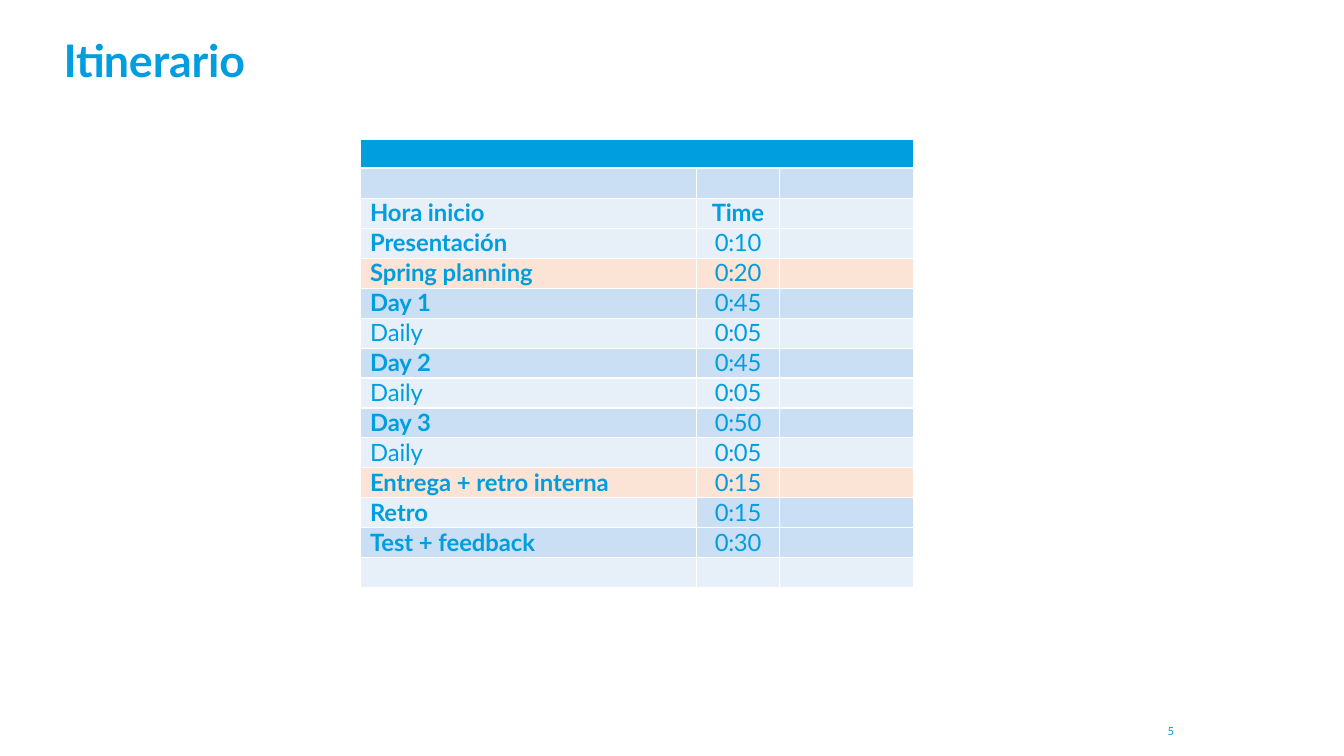
import dataclasses

import pptx
import pptx.dml.color
import pptx.enum.text
import pptx.oxml.ns
import pptx.util
import lxml.etree

Pt = pptx.util.Pt
ALIGN = pptx.enum.text.PP_ALIGN


@dataclasses.dataclass(frozen=True)
class Theme:
    """Hold the colours and type sizes."""
    font: str = "Lato"
    blue: str = "009EDF"
    mid: str = "CADFF3"
    pale: str = "E7EFF8"
    peach: str = "FBE3D5"
    white: str = "FFFFFF"
    title: float = 32
    body: float = 17
    small: float = 8


THEME = Theme()
ROWS = [
    ("", "", THEME.mid, False),
    ("Hora inicio", "Time", THEME.pale, True),
    ("Presentación", "0:10", THEME.pale, True),
    ("Spring planning", "0:20", THEME.peach, True),
    ("Day 1", "0:45", THEME.mid, True),
    ("Daily", "0:05", THEME.pale, False),
    ("Day 2", "0:45", THEME.mid, True),
    ("Daily", "0:05", THEME.pale, False),
    ("Day 3", "0:50", THEME.mid, True),
    ("Daily", "0:05", THEME.pale, False),
    ("Entrega + retro interna", "0:15", THEME.peach, True),
    ("Retro", "0:15", THEME.mid, True),
    ("Test + feedback", "0:30", THEME.mid, True),
    ("", "", THEME.pale, False),
]


def apply(item, form):
    """Set each attribute of an item from a dict."""
    for name, value in form.items():
        setattr(item, name, value)


def tint(code):
    """Turn a hex code into a colour."""
    return pptx.dml.color.RGBColor.from_string(code)


def child(node, tag, **attrs):
    """Add a drawing element below a node."""
    return lxml.etree.SubElement(node, pptx.oxml.ns.qn(tag), attrs)


def write(para, text, size, bold=False, track=0, **form):
    """Write one styled run in a paragraph."""
    apply(para, form)
    run = para.add_run()
    run.text = text
    apply(run.font, {"name": THEME.font, "size": Pt(size), "bold": bold})
    run.font.color.rgb = tint(THEME.blue)
    run.font._element.set("spc", str(track))


def label(slide, box, text, size, **form):
    """Place a line of text in a box."""
    frame = slide.shapes.add_textbox(*map(Pt, box)).text_frame
    apply(frame, {"margin_left": 0, "margin_right": 0, "margin_bottom": 0,
                  "margin_top": Pt(0.9), "word_wrap": True})
    write(frame.paragraphs[0], text, size, space_before=Pt(1), **form)


def edge(cell, heavy):
    """Draw white borders, with heavy naming the thicker side."""
    props = cell._tc.get_or_add_tcPr()
    for side in "LRTB":
        width = Pt(1.5 if side == heavy else 1)
        line = child(props, "a:ln" + side, w=str(width))
        child(child(line, "a:solidFill"), "a:srgbClr", val=THEME.white)


def fill(cell, text, back, heavy="", **form):
    """Style a cell and write its text."""
    edge(cell, heavy)
    cell.fill.solid()
    cell.fill.fore_color.rgb = tint(back)
    apply(cell, {"margin_left": 0, "margin_right": 0,
                 "margin_top": Pt(0.7), "margin_bottom": 0})
    para = cell.text_frame.paragraphs[0]
    if text:
        write(para, text, THEME.body, line_spacing=Pt(19.7),
              space_before=Pt(0.7), **form)
    else:
        child(para._p, "a:endParaRPr", sz="1200")


def agenda(slide, box):
    """Build the timetable in a box."""
    left, top, width, height = box
    table = slide.shapes.add_table(len(ROWS) + 1, 3, *map(Pt, box)).table
    apply(table, {"first_row": False, "horz_banding": False})
    for col, size in zip(table.columns, (240.5, 59.2, width - 299.7)):
        col.width = Pt(size)
    tops = [20, 22]
    rest = (height - sum(tops)) / (len(ROWS) - 1)
    for num, row in enumerate(table.rows):
        row.height = Pt(tops[num] if num < len(tops) else rest)
    for col in range(3):
        fill(table.cell(0, col), "", THEME.blue, "B")
    table.cell(0, 0).merge(table.cell(0, 2))
    for num, (name, time, back, bold) in enumerate(ROWS, 1):
        heavy = "T" if num == 1 else ""
        first = THEME.pale if name == "Retro" else back
        fill(table.cell(num, 0), name, first, heavy, bold=bold, track=-5)
        table.cell(num, 0).margin_left = Pt(7.2)
        fill(table.cell(num, 1), time, back, heavy, bold=time == "Time",
             track=-20, alignment=ALIGN.CENTER)
        fill(table.cell(num, 2), "", back, heavy)


def main():
    """Build and save the slide."""
    deck = pptx.Presentation()
    apply(deck, {"slide_width": Pt(960), "slide_height": Pt(540)})
    slide = deck.slides.add_slide(deck.slide_layouts[6])
    label(slide, (837 - 6.7, 516.2, 12, 11.5), "5", THEME.small,
          alignment=ALIGN.CENTER)
    label(slide, (45.4, 22.3, 156, 40.3), "Itinerario", THEME.title,
          bold=True, track=-10)
    agenda(slide, (257.1, 99.8, 395.4, 320.2))
    deck.save("out.pptx")


if __name__ == "__main__":
    main()
